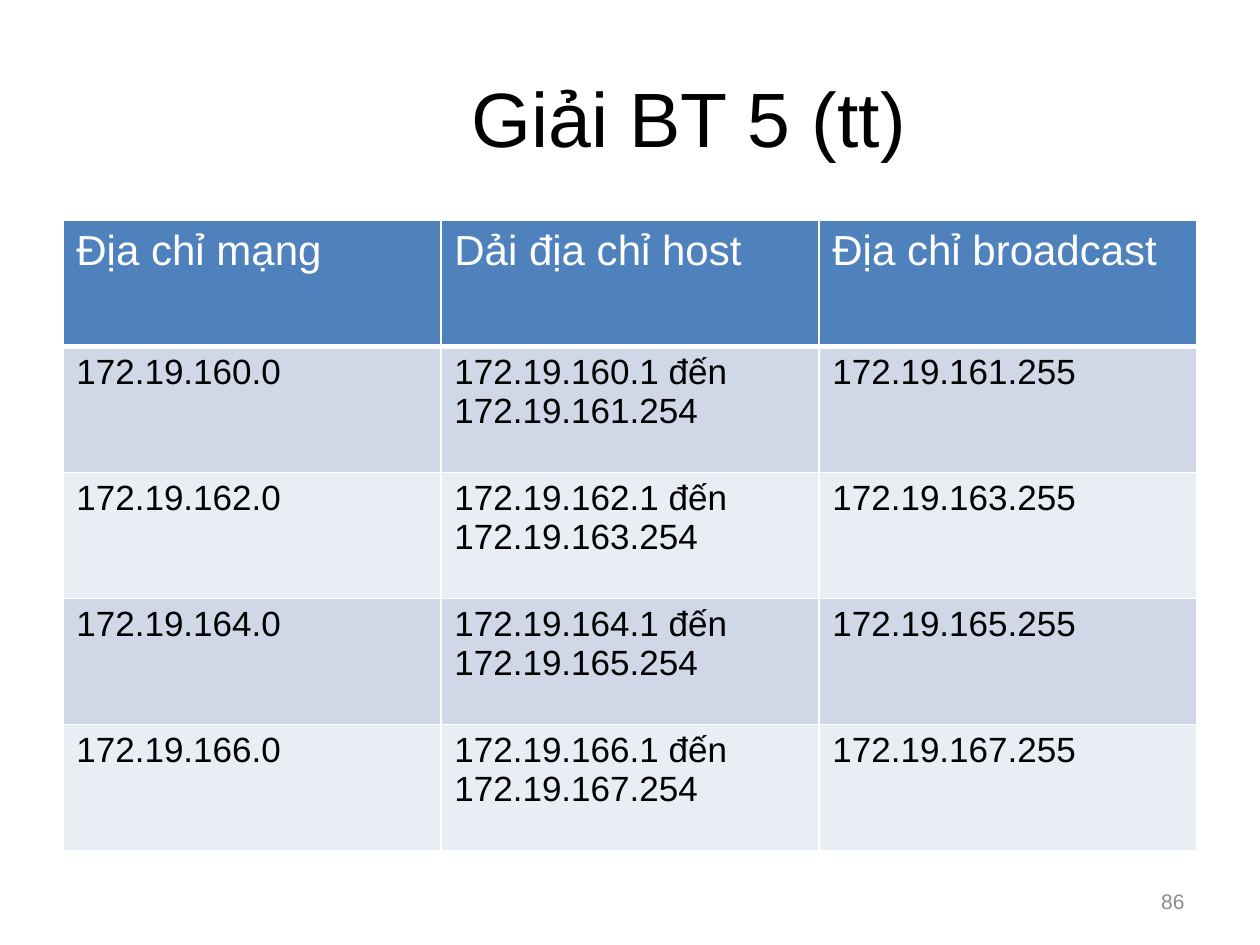
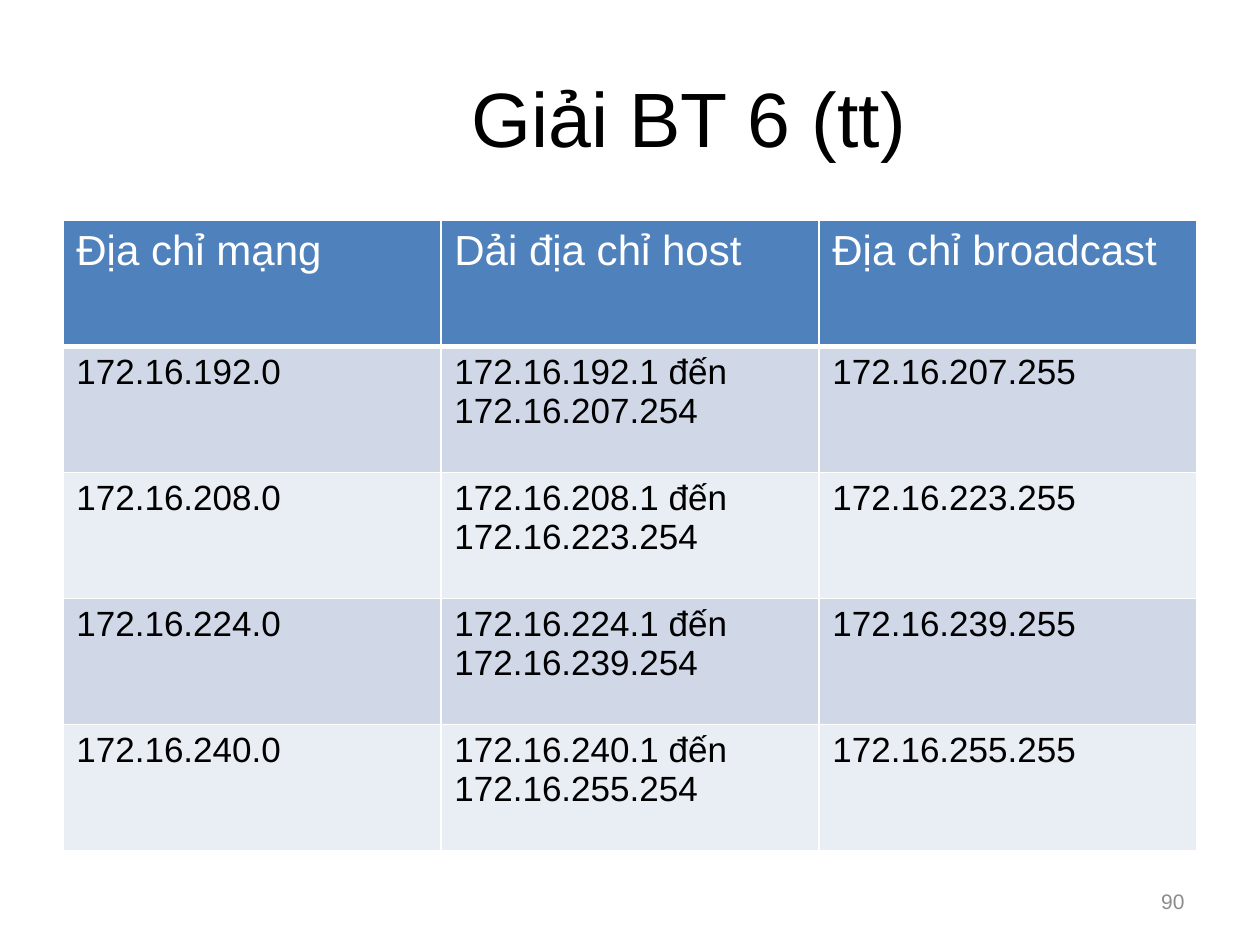
from lxml import etree
from pptx import Presentation
from pptx import util as u
from pptx.dml import color
from pptx.enum import text
from pptx.oxml import ns

FONT = "Arial"
WHITE, BLACK, GREY = "FFFFFF", "000000", "8C8C8C"
HEADER_FILL = "4F81BD"
BAND_FILLS = ("D0D8E8", "E9EDF4")
HEADINGS = ("Địa chỉ mạng", "Dải địa chỉ host", "Địa chỉ broadcast")

# Left, top, width, height in centimetres
TITLE_BOX = (2.97, 0.76, 21.84, 3.18)
TABLE_BOX = (1.27, 4.45, 22.86, 12.7)
NUMBER_BOX = (18.21, 17.65, 5.92, 1.02)

# Title, page number, network prefix, first third octet, block size
SOLUTIONS = (
    ("Giải BT 5 (tt)", 86, "172.19", 160, 2),
    ("Giải BT 6 (tt)", 90, "172.16", 192, 16),
)
SUBNET_COUNT = 4


def rgb(value):
    return color.RGBColor.from_string(value)


def write(frame, words, size, ink=BLACK, align=text.PP_ALIGN.LEFT,
          anchor=text.MSO_ANCHOR.MIDDLE):
    frame.word_wrap = True
    frame.vertical_anchor = anchor
    para = frame.paragraphs[0]
    para.alignment = align
    span = para.add_run()
    span.text = words
    span.font.name = FONT
    span.font.size = u.Pt(size)
    span.font.bold = False
    span.font.color.rgb = rgb(ink)


def add_title(page, box, words):
    title = page.shapes.title
    title.left, title.top, title.width, title.height = map(u.Cm, box)
    title.text_frame.auto_size = text.MSO_AUTO_SIZE.NONE
    write(title.text_frame, words, 44, align=text.PP_ALIGN.CENTER)


def add_page_number(page, box, number):
    label = page.shapes.add_textbox(*map(u.Cm, box))
    write(label.text_frame, str(number), 12, GREY, text.PP_ALIGN.RIGHT)


def draw_borders(cell, bottom):
    """Give a cell white borders, with the bottom one of the given points."""
    properties = cell._tc.get_or_add_tcPr()
    for side, width in (("L", 1), ("R", 1), ("T", 1), ("B", bottom)):
        line = etree.SubElement(properties, ns.qn(f"a:ln{side}"), w=str(u.Pt(width)))
        fill = etree.SubElement(line, ns.qn("a:solidFill"))
        etree.SubElement(fill, ns.qn("a:srgbClr"), val=WHITE)


def subnet_rows(prefix, first, size):
    """List network, host range and broadcast address of each subnet."""
    rows = []
    for start in range(first, first + SUBNET_COUNT * size, size):
        end = start + size - 1
        rows.append((f"{prefix}.{start}.0",
                     f"{prefix}.{start}.1 đến {prefix}.{end}.254",
                     f"{prefix}.{end}.255"))
    return rows


def add_subnet_table(page, box, subnets):
    rows = [HEADINGS, *subnets]
    table = page.shapes.add_table(len(rows), len(HEADINGS), *map(u.Cm, box)).table
    for row_index, row in enumerate(rows):
        is_header = row_index == 0
        fill = HEADER_FILL if is_header else BAND_FILLS[(row_index - 1) % 2]
        for column_index, words in enumerate(row):
            cell = table.cell(row_index, column_index)
            cell.margin_left = cell.margin_right = u.Cm(0.27)
            cell.margin_top = cell.margin_bottom = u.Cm(0.13)
            draw_borders(cell, bottom=3 if is_header else 1)
            cell.fill.solid()
            cell.fill.fore_color.rgb = rgb(fill)
            write(cell.text_frame, words, 24 if is_header else 20,
                  WHITE if is_header else BLACK, anchor=text.MSO_ANCHOR.TOP)


def add_solution_page(deck, title, number, prefix, first, size):
    page = deck.slides.add_slide(deck.slide_layouts.get_by_name("Title Only"))
    add_title(page, TITLE_BOX, title)
    add_subnet_table(page, TABLE_BOX, subnet_rows(prefix, first, size))
    add_page_number(page, NUMBER_BOX, number)


def main():
    deck = Presentation()
    deck.slide_width, deck.slide_height = u.Cm(25.4), u.Cm(19.05)
    for solution in SOLUTIONS:
        add_solution_page(deck, *solution)
    deck.save("out.pptx")


if __name__ == "__main__":
    main()
